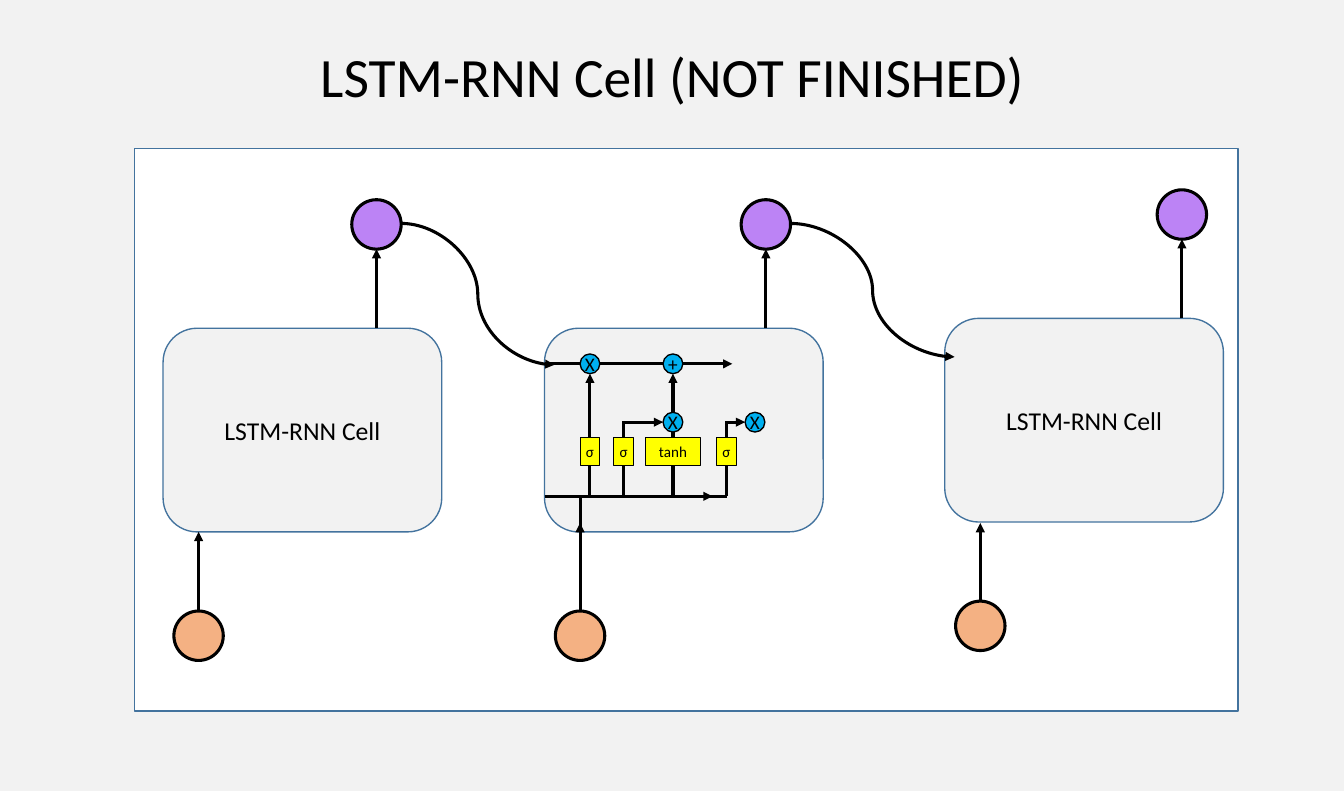
from lxml import etree
from pptx import Presentation
from pptx.dml.color import RGBColor
from pptx.enum.shapes import MSO_CONNECTOR, MSO_SHAPE
from pptx.enum.text import MSO_ANCHOR, PP_ALIGN
from pptx.oxml.ns import qn
from pptx.util import Inches, Pt

BOX, ROUNDED, CIRCLE = MSO_SHAPE.RECTANGLE, MSO_SHAPE.ROUNDED_RECTANGLE, MSO_SHAPE.OVAL
STRAIGHT, CURVE = MSO_CONNECTOR.STRAIGHT, MSO_CONNECTOR.CURVE
CENTER, MIDDLE = PP_ALIGN.CENTER, MSO_ANCHOR.MIDDLE

BLACK = RGBColor(0x00, 0x00, 0x00)
WHITE = RGBColor(0xFF, 0xFF, 0xFF)
GRAY = RGBColor(0xF2, 0xF2, 0xF2)
BORDER = RGBColor(0x43, 0x73, 0x9E)
ORANGE = RGBColor(0xF4, 0xB1, 0x83)
PURPLE = RGBColor(0xBC, 0x83, 0xF5)
CYAN = RGBColor(0x00, 0xB0, 0xF0)
YELLOW = RGBColor(0xFF, 0xFF, 0x00)
FONT = "Calibri"

prs = Presentation()
prs.slide_width = Inches(13.6)
prs.slide_height = Inches(8)
COL = prs.slide_width / 136
ROW = prs.slide_height / 80

slide = prs.slides.add_slide(prs.slide_layouts[5])
slide.background.fill.solid()
slide.background.fill.fore_color.rgb = GRAY


def add_node(outline, left, top, width, height, fill, border, weight, label="", size=14):
    node = slide.shapes.add_shape(
        outline, round(left * COL), round(top * ROW), round(width * COL), round(height * ROW))
    node.shadow.inherit = False
    node.fill.solid()
    node.fill.fore_color.rgb = fill
    node.line.color.rgb = border
    node.line.width = Pt(weight)
    if label:
        frame = node.text_frame
        frame.margin_left = frame.margin_right = frame.margin_top = frame.margin_bottom = 0
        frame.word_wrap = False
        frame.vertical_anchor = MIDDLE
        paragraph = frame.paragraphs[0]
        paragraph.text = label
        paragraph.alignment = CENTER
        paragraph.font.name = FONT
        paragraph.font.size = Pt(size)
        paragraph.font.color.rgb = BLACK


def add_flow(x1, y1, x2, y2, arrow=True, route=STRAIGHT):
    flow = slide.shapes.add_connector(
        route, round(x1 * COL), round(y1 * ROW), round(x2 * COL), round(y2 * ROW))
    flow.line.color.rgb = BLACK
    flow.line.width = Pt(2.25)
    properties = flow.element.spPr
    if arrow:
        etree.SubElement(properties.find(qn("a:ln")), qn("a:tailEnd"), type="triangle")
    etree.SubElement(properties, qn("a:effectLst"))


title = slide.shapes.title
title.left, title.top = round(9.4 * COL), round(4.3 * ROW)
title.width, title.height = round(117.3 * COL), round(7.4 * ROW)
title.text_frame.vertical_anchor = MIDDLE
heading = title.text_frame.paragraphs[0]
heading.text = "LSTM-RNN Cell (NOT FINISHED)"
heading.alignment = CENTER
heading.line_spacing = 0.9
heading.font.name = FONT
heading.font.size = Pt(40.4)
heading.font.color.rgb = BLACK

add_node(BOX, 13.6, 15, 111.7, 56.9, WHITE, BORDER, 1)

CELL_WIDTH, CELL_HEIGHT, STATE = 28.2, 20.6, 5
cells = [
    (16.5, 33.2, 38.1, 53.8, "LSTM-RNN Cell"),
    (55.1, 33.2, 77.5, 52.9, ""),
    (95.6, 32.2, 119.6, 52.9, "LSTM-RNN Cell"),
]
for left, top, output_x, input_tip, label in cells:
    input_x, input_top, output_top = left + 3.6, top + 28.6, top - 13
    add_node(ROUNDED, left, top, CELL_WIDTH, CELL_HEIGHT, GRAY, BORDER, 1, label, 18.7)
    add_node(CIRCLE, input_x - STATE / 2, input_top, STATE, STATE, ORANGE, BLACK, 2.25)
    add_node(CIRCLE, output_x - STATE / 2, output_top, STATE, STATE, PURPLE, BLACK, 2.25)
    add_flow(input_x, input_top, input_x, input_tip)
    add_flow(output_x, top, output_x, output_top + STATE)

for (_, top, output_x, _, _), (next_left, _, _, _, _), end_y in zip(cells, cells[1:], (36.9, 36.1)):
    add_flow(output_x + STATE / 2, top - 10.6, next_left + 1, end_y, route=CURVE)

MEMORY_Y, GATE_Y, HIDDEN_Y = 36.8, 42.7, 50.2
FORGET_X, INPUT_X, CANDIDATE_X, OUTPUT_X = 59.7, 63.1, 68.1, 73.5
inner_left = cells[1][0]
OPERATOR = 2

add_flow(inner_left, MEMORY_Y, 74.1, MEMORY_Y)
add_flow(inner_left, HIDDEN_Y, 72.1, HIDDEN_Y)
add_flow(70.6, HIDDEN_Y, 73.6, HIDDEN_Y, arrow=False)
add_flow(inner_left + 3.6, 53.8, inner_left + 3.6, HIDDEN_Y, arrow=False)
for gate_x in (FORGET_X, CANDIDATE_X):
    add_flow(gate_x, HIDDEN_Y, gate_x, MEMORY_Y + OPERATOR / 2)
for gate_x, product_x in ((INPUT_X, CANDIDATE_X), (OUTPUT_X, 76.4)):
    add_flow(gate_x, HIDDEN_Y, gate_x, GATE_Y - 0.1, arrow=False)
    add_flow(gate_x, GATE_Y, product_x - OPERATOR / 2, GATE_Y)

for x, y, symbol in (
    (FORGET_X, MEMORY_Y, "X"),
    (CANDIDATE_X, MEMORY_Y, "+"),
    (CANDIDATE_X, GATE_Y, "X"),
    (76.4, GATE_Y, "X"),
):
    add_node(CIRCLE, x - OPERATOR / 2, y - OPERATOR / 2, OPERATOR, OPERATOR, CYAN, BLACK, 1, symbol)

for x, width, activation in (
    (FORGET_X, 2, "σ"),
    (INPUT_X, 2, "σ"),
    (CANDIDATE_X, 5.5, "tanh"),
    (OUTPUT_X, 2, "σ"),
):
    add_node(BOX, x - width / 2, 44.2, width, 2.9, YELLOW, BLACK, 0.75, activation, 11)

prs.save("out.pptx")
